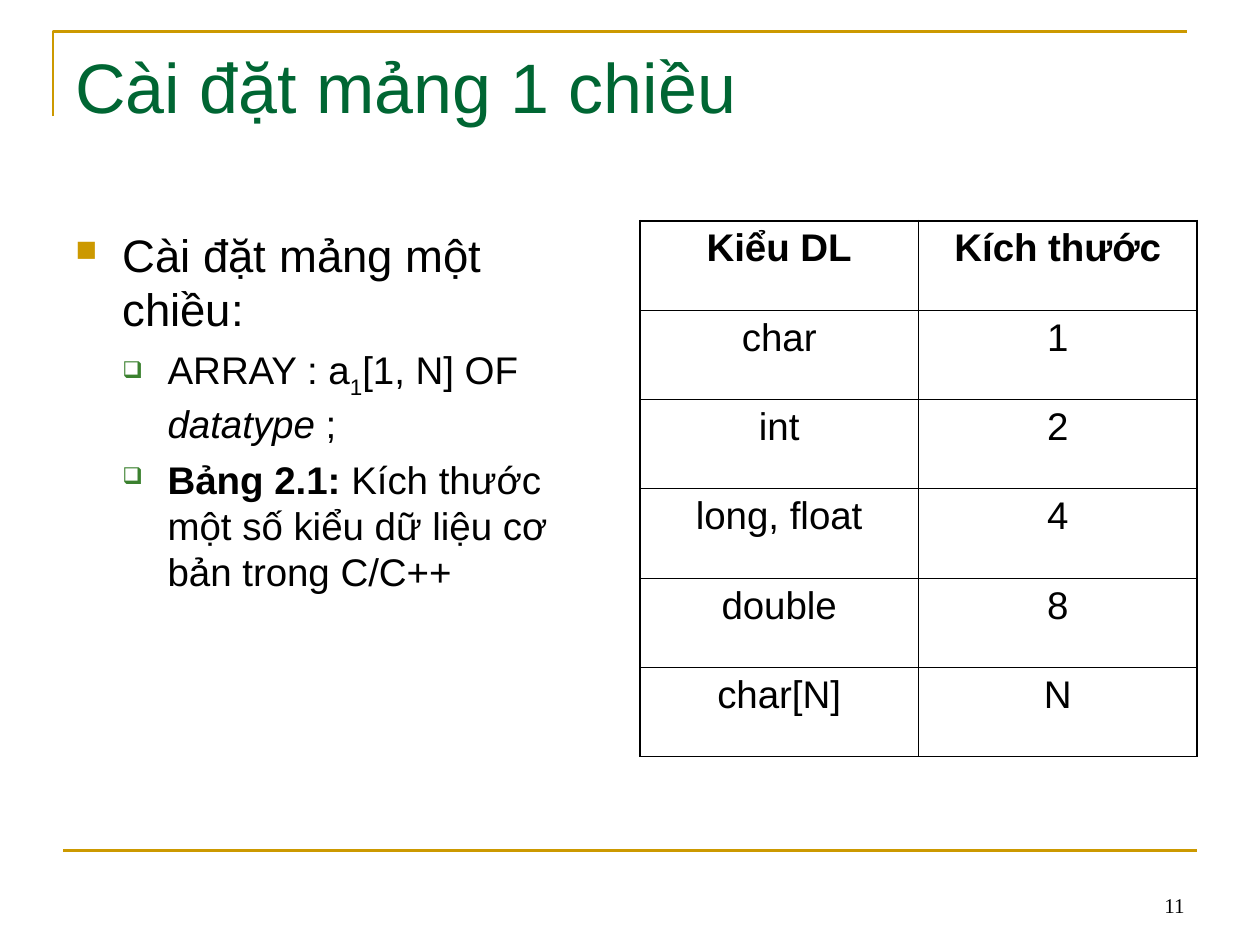
"""Build the slide on one-dimensional arrays with its table of type sizes."""
from lxml.etree import SubElement
from pptx import Presentation
from pptx.dml.color import RGBColor
from pptx.enum.shapes import MSO_CONNECTOR as Connector
from pptx.enum.text import MSO_ANCHOR as Anchor, PP_ALIGN as Align
from pptx.oxml import parse_xml
from pptx.oxml.ns import nsdecls, qn
from pptx.util import Cm, Pt

GOLD, GREEN, LEAF, BLACK = "CC9900", "006633", "3B812F", "000000"


def color(code):
    return RGBColor.from_string(code)


def write(para, text, size=22, font="Arial", fill=BLACK, bold=False, italic=False, baseline=0):
    span = para.add_run()
    span.text = text
    span.font.size = Pt(size)
    span.font.name = font
    span.font.bold = bold
    span.font.italic = italic
    span.font.color.rgb = color(fill)
    if baseline:
        span._r.get_or_add_rPr().set("baseline", str(baseline * 1000))


deck = Presentation()
deck.slide_width, deck.slide_height = Cm(25.4), Cm(19.05)
page = deck.slides.add_slide(deck.slide_layouts[6])

builder = page.shapes.build_freeform(Cm(1.07), Cm(2.34))
builder.add_line_segments([(Cm(1.07), Cm(0.64)), (Cm(23.93), Cm(0.64))], close=False)
corner = builder.convert_to_shape()
corner.shadow.inherit = False
corner.fill.background()

rule = page.shapes.add_connector(Connector.STRAIGHT, Cm(1.27), Cm(17.15), Cm(24.13), Cm(17.15))
SubElement(rule._element.spPr, qn("a:effectLst"))
for stroke in (corner, rule):
    stroke.line.color.rgb = color(GOLD)
    stroke.line.width = Pt(1.5)

number = page.shapes.add_textbox(Cm(18.21), Cm(17.35), Cm(5.92), Cm(1.27)).text_frame
number.word_wrap = True
number.vertical_anchor = Anchor.BOTTOM
number.paragraphs[0].alignment = Align.RIGHT
write(number.paragraphs[0], "11", size=12, font="Times New Roman")

title = page.shapes.add_textbox(Cm(1.27), Cm(0.76), Cm(22.86), Cm(3.18)).text_frame
title.word_wrap = True
write(title.paragraphs[0], "Cài đặt mảng 1 chiều", size=40, fill=GREEN)

body = page.shapes.add_textbox(Cm(1.27), Cm(4.45), Cm(11.23), Cm(12.57)).text_frame
body.word_wrap = True
items = [
    (0, [("Cài đặt mảng một chiều:", {"size": 26})]),
    (1, [("ARRAY : a", {}), ("1", {"baseline": -30}), ("[1, N] OF ", {}),
         ("datatype", {"italic": True}), (" ;", {})]),
    (1, [("Bảng 2.1:", {"bold": True}),
         (" Kích thước một số kiểu dữ liệu cơ bản trong C/C++", {})]),
]
bullets = [("■", GOLD, 65, 0.95, 0.95), ("❑", LEAF, 60, 1.86, 0.91)]
for index, (level, spans) in enumerate(items):
    para = body.add_paragraph() if index else body.paragraphs[0]
    para.level = level
    para.space_before = Pt(5.5 if index else 0)
    mark, tint, percent, margin, hang = bullets[level]
    props = para._p.get_or_add_pPr()
    props.set("marL", str(Cm(margin)))
    props.set("indent", str(-Cm(hang)))
    SubElement(SubElement(props, qn("a:buClr")), qn("a:srgbClr"), val=tint)
    SubElement(props, qn("a:buSzPct"), val=str(percent * 1000))
    SubElement(props, qn("a:buChar"), char=mark)
    for text, style in spans:
        write(para, text, **style)

rows = [
    ("Kiểu DL", "Kích thước"),
    ("char", "1"),
    ("int", "2"),
    ("long, float", "4"),
    ("double", "8"),
    ("char[N]", "N"),
]
table = page.shapes.add_table(len(rows), 2, Cm(12.9), Cm(4.45), Cm(11.23), Cm(10.8)).table
table.first_row = table.horz_banding = False
for r, row in enumerate(rows):
    for c, text in enumerate(row):
        cell = table.cell(r, c)
        para = cell.text_frame.paragraphs[0]
        para.alignment = Align.CENTER
        write(para, text, bold=r == 0)
        props = cell._tc.get_or_add_tcPr()
        edges = {"lnL": c == 0, "lnR": c == 1, "lnT": r == 0, "lnB": r == len(rows) - 1}
        for edge, outer in edges.items():
            width = Pt(1.08 if outer else 0.45)
            props.append(parse_xml(
                f'<a:{edge} {nsdecls("a")} w="{width}"><a:solidFill>'
                f'<a:srgbClr val="{BLACK}"/></a:solidFill></a:{edge}>'))
        cell.fill.background()

deck.save("out.pptx")
